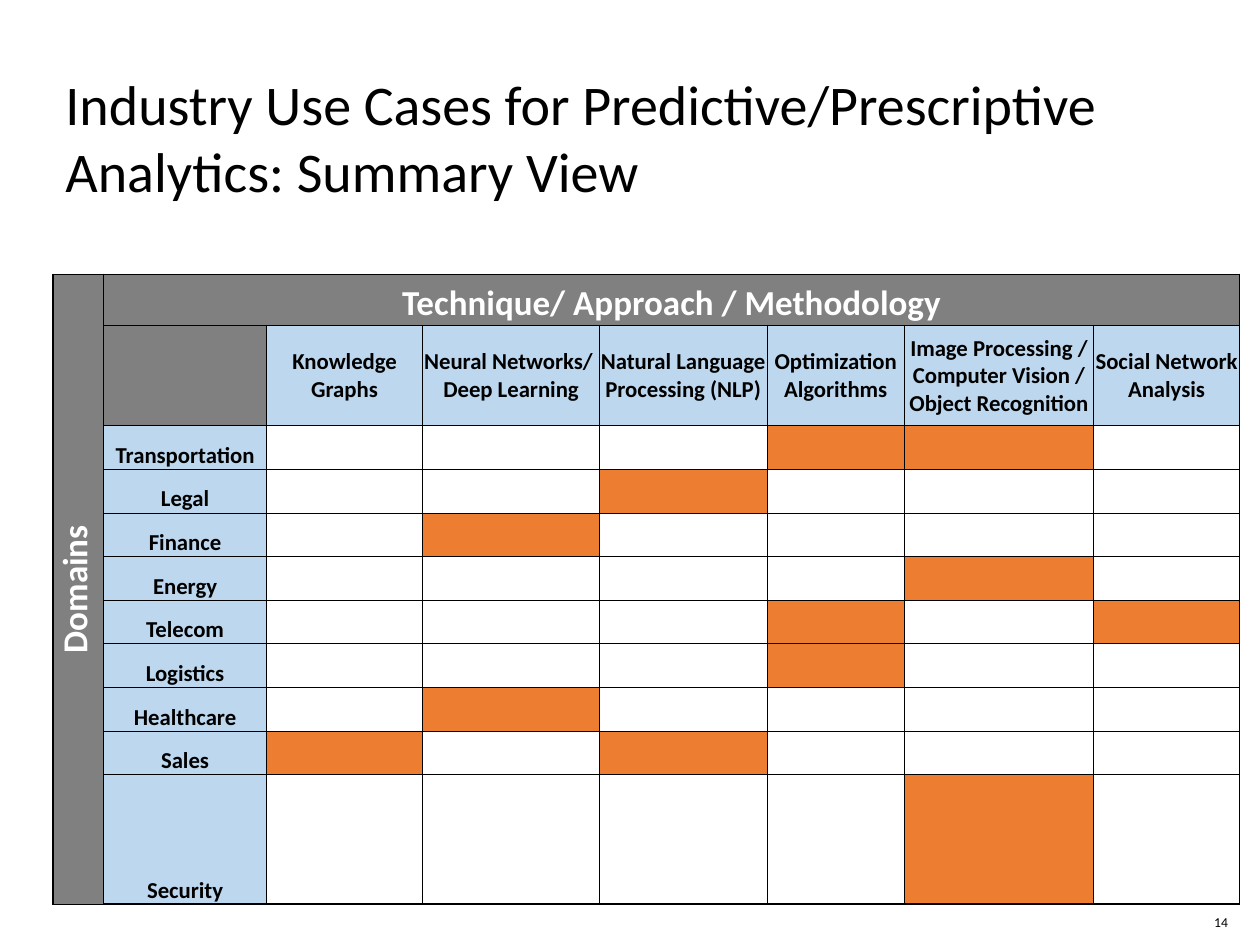
from pptx import Presentation
from pptx.dml.color import RGBColor
from pptx.enum.text import MSO_ANCHOR as Anchor, PP_ALIGN as Align
from pptx.oxml.ns import qn
from pptx.util import Cm, Pt
from lxml.etree import SubElement

BLACK, WHITE, GREY, BLUE, ORANGE = "000000", "FFFFFF", "808080", "BDD7EE", "ED7D31"
TECHNIQUES = [
    "Knowledge Graphs",
    "Neural Networks/ \vDeep Learning",
    "Natural Language Processing (NLP)",
    "Optimization Algorithms",
    "Image Processing / Computer Vision / Object Recognition",
    "Social Network Analysis",
]
DOMAIN_USES = {
    "Transportation": {3, 4},
    "Legal": {2},
    "Finance": {1},
    "Energy": {4},
    "Telecom": {3, 5},
    "Logistics": {3},
    "Healthcare": {1},
    "Sales": {0, 2},
    "Security": {4},
}
COLUMN_WIDTHS = [1.02, 3.28, 3.15, 3.56, 3.38, 2.77, 3.81, 2.95]
ROW_HEIGHTS = [1.03, 2.02] + [0.88] * 8 + [2.6]


def color(value):
    return RGBColor.from_string(value)


def apply(target, formats):
    for key, value in formats.items():
        setattr(target, key, value)


def write(frame, text, size, ink=BLACK, bold=False, align=Align.CENTER):
    frame.text = text
    paragraph = frame.paragraphs[0]
    paragraph.alignment = align
    for run in paragraph.runs:
        apply(run.font, {"name": "Calibri", "size": Pt(size), "bold": bold})
        run.font.color.rgb = color(ink)


def add_label(slide, box, text, size, formats, align=Align.CENTER):
    frame = slide.shapes.add_textbox(*map(Cm, box)).text_frame
    apply(frame, {"word_wrap": True, **formats})
    write(frame, text, size, align=align)


def add_heading(slide, box):
    add_label(slide, box,
              "Industry Use Cases for Predictive/Prescriptive Analytics: Summary View",
              32, {"vertical_anchor": Anchor.TOP}, Align.LEFT)


def add_page_number(slide, box):
    insets = {f"margin_{side}": 0 for side in ("left", "right", "top", "bottom")}
    add_label(slide, box, "14", 7.8, {"vertical_anchor": Anchor.MIDDLE, **insets})


def draw_borders(cell, outer):
    properties = cell._tc.get_or_add_tcPr()
    for side in "LRTB":
        width = Pt(1 if side in outer else 0.5)
        line = SubElement(properties, qn(f"a:ln{side}"), w=str(int(width)))
        SubElement(SubElement(line, qn("a:solidFill")), qn("a:srgbClr"), val=BLACK)


def style_cell(cell, outer, fill):
    apply(cell, {"margin_left": Cm(0.02), "margin_right": Cm(0.02),
                 "margin_top": Cm(0.02), "margin_bottom": 0})
    draw_borders(cell, outer)
    if fill:
        cell.fill.solid()
        cell.fill.fore_color.rgb = color(fill)
    else:
        cell.fill.background()


def fill_for(row, column, uses):
    if row == 0 or column == 0 or (row, column) == (1, 1):
        return GREY
    if row == 1 or column == 1:
        return BLUE
    return ORANGE if column - 2 in uses[row - 2] else None


def add_matrix(slide, box):
    last_row, last_column = len(ROW_HEIGHTS) - 1, len(COLUMN_WIDTHS) - 1
    matrix = slide.shapes.add_table(last_row + 1, last_column + 1, *map(Cm, box)).table
    apply(matrix, {"first_row": False, "horz_banding": False})
    for column, width in zip(matrix.columns, COLUMN_WIDTHS):
        column.width = Cm(width)
    for row, height in zip(matrix.rows, ROW_HEIGHTS):
        row.height = Cm(height)

    uses = list(DOMAIN_USES.values())
    for row in range(last_row + 1):
        for column in range(last_column + 1):
            edges = {"L": column == 0, "R": column == last_column,
                     "T": row == 0, "B": row == last_row}
            outer = [side for side, on_edge in edges.items() if on_edge]
            style_cell(matrix.cell(row, column), outer, fill_for(row, column, uses))

    domains, approach = matrix.cell(0, 0), matrix.cell(0, 1)
    domains.merge(matrix.cell(last_row, 0))
    approach.merge(matrix.cell(0, last_column))
    domains._tc.get_or_add_tcPr().set("vert", "vert270")
    banners = [(domains, "Domains", Anchor.MIDDLE),
               (approach, "Technique/ Approach / Methodology", Anchor.BOTTOM)]
    for cell, text, anchor in banners:
        cell.vertical_anchor = anchor
        write(cell.text_frame, text, 20, WHITE, True)

    headers = [(matrix.cell(1, column), text, Anchor.MIDDLE)
               for column, text in enumerate(TECHNIQUES, 2)]
    headers += [(matrix.cell(row, 1), text, Anchor.BOTTOM)
                for row, text in enumerate(DOMAIN_USES, 2)]
    for cell, text, anchor in headers:
        cell.vertical_anchor = anchor
        write(cell.text_frame, text, 13, BLACK, True)


def main():
    deck = Presentation()
    apply(deck, {"slide_width": Cm(25.4), "slide_height": Cm(19.05)})
    slide = deck.slides.add_slide(deck.slide_layouts[6])
    add_page_number(slide, (23.83, 18.29, 1.57, 0.58))
    add_heading(slide, (1.07, 1.27, 21.79, 1.52))
    add_matrix(slide, (1.07, 5.53, sum(COLUMN_WIDTHS), sum(ROW_HEIGHTS)))
    deck.save("out.pptx")


if __name__ == "__main__":
    main()
